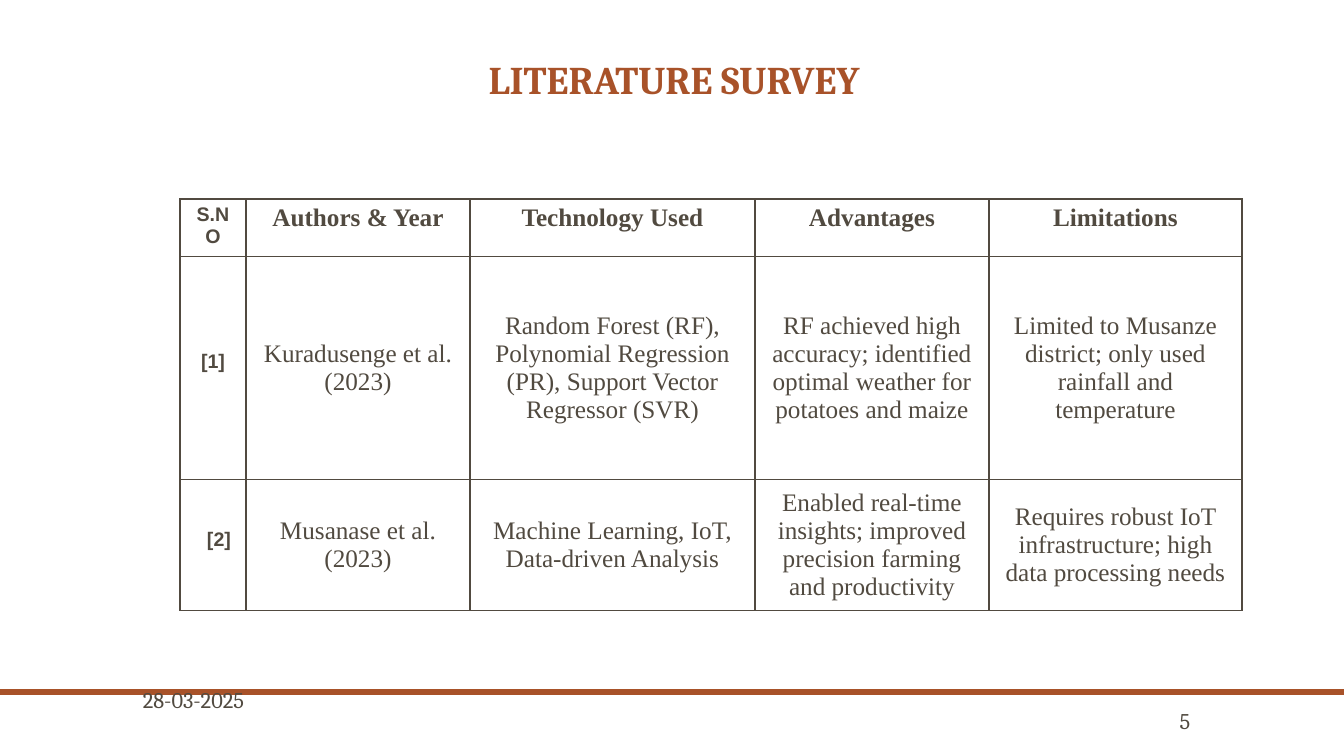
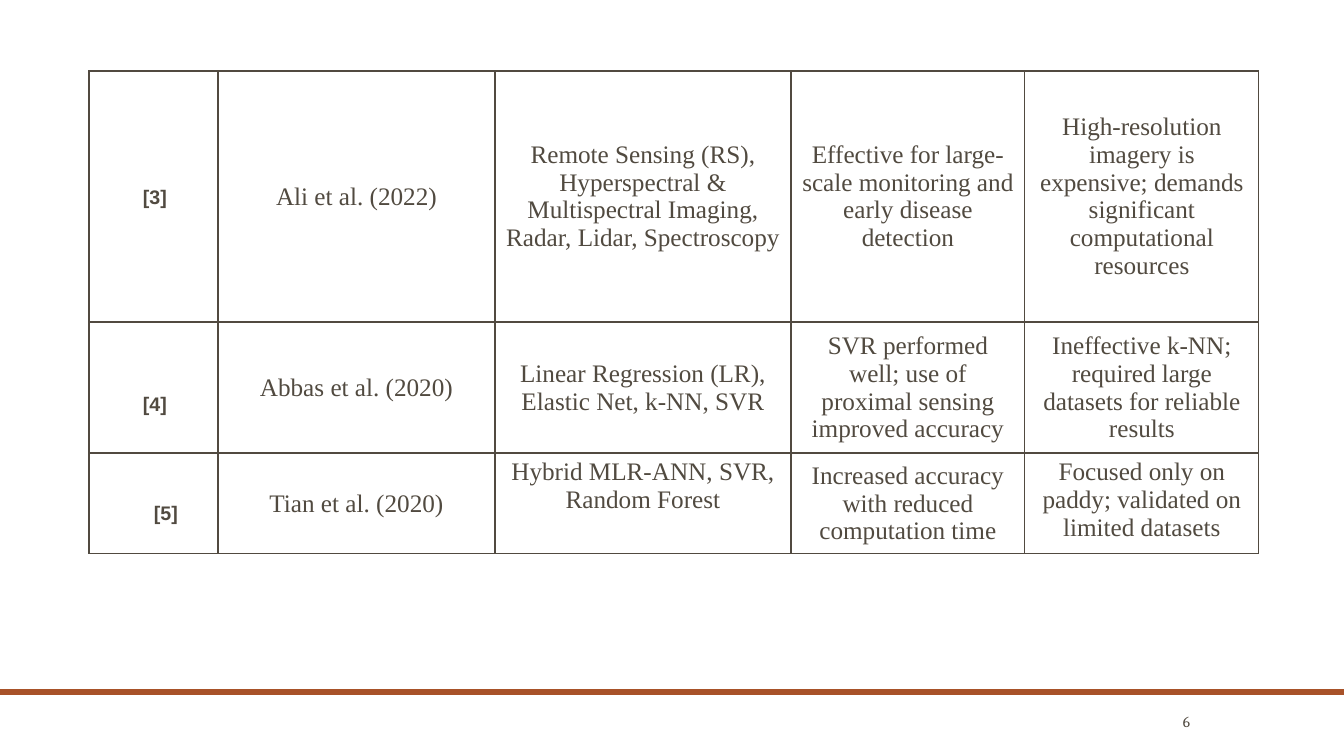
from dataclasses import dataclass
from itertools import product

from lxml import etree
from pptx import Presentation
from pptx.dml.color import RGBColor
from pptx.enum.shapes import MSO_SHAPE
from pptx.enum.text import MSO_ANCHOR, PP_ALIGN
from pptx.oxml.ns import qn
from pptx.util import Emu, Pt

SLIDE_W, SLIDE_H = 1344, 756
TITLE_ONLY, BLANK = 5, 6


@dataclass(frozen=True)
class Theme:
    accent: str = "A85229"
    ink: str = "514A40"
    display: str = "Cambria"
    body: str = "Times New Roman"
    label: str = "Arial"
    title_pt: int = 28
    body_pt: int = 18
    footer_pt: int = 16
    label_pt: int = 14
    small_pt: int = 11
    border_pt: int = 1


THEME = Theme()


@dataclass(frozen=True)
class Marker:
    """Reference number: its top inset, and left inset unless centred."""
    text: str
    top: int
    left: int = 0


HEADER = ["S.NO", "Authors & Year", "Technology Used", "Advantages", "Limitations"]

FIRST_ROWS = [
    [Marker("[1]", 95), "Kuradusenge et al. (2023)",
     "Random Forest (RF), Polynomial Regression (PR), Support Vector Regressor (SVR)",
     "RF achieved high accuracy; identified optimal weather for potatoes and maize",
     "Limited to Musanze district; only used rainfall and temperature"],
    [Marker("[2]", 50, 27), "Musanase et al. (2023)",
     "Machine Learning, IoT, Data-driven Analysis",
     "Enabled real-time insights; improved precision farming and productivity",
     "Requires robust IoT infrastructure; high data processing needs"],
]

NEXT_ROWS = [
    [Marker("[3]", 116, 54), "Ali et al. (2022)",
     "Remote Sensing (RS), Hyperspectral & Multispectral Imaging, Radar, Lidar, Spectroscopy",
     "Effective for large-scale monitoring and early disease detection",
     "High-resolution imagery is expensive; demands significant computational resources"],
    [Marker("[4]", 72, 54), "Abbas et al. (2020)",
     "Linear Regression (LR), Elastic Net, k-NN, SVR",
     "SVR performed well; use of proximal sensing improved accuracy",
     "Ineffective k-NN; required large datasets for reliable results"],
    [Marker("[5]", 50, 65), "Tian et al. (2020)",
     "Hybrid MLR-ANN, SVR, Random Forest",
     "Increased accuracy with reduced computation time",
     "Focused only on paddy; validated on limited datasets"],
]


def px(n):
    return Emu(round(n * 914400 / 100.8))


def rgb(value):
    return RGBColor.from_string(value)


# Text
def write(tf, text, font, size, color=THEME.ink, bold=False, align=PP_ALIGN.CENTER):
    tf.text = text
    tf.word_wrap = True
    p = tf.paragraphs[0]
    p.alignment = align
    f = p.runs[0].font
    f.name, f.size, f.bold = font, Pt(size), bold
    f.color.rgb = rgb(color)
    return p


def add_text(s, text, box, size, align, anchor):
    tf = s.shapes.add_textbox(*map(px, box)).text_frame
    tf.vertical_anchor = anchor
    return write(tf, text, THEME.display, size, align=align)


# Elements that the slides share
def add_slide(prs, layout, number, number_pt):
    s = prs.slides.add_slide(prs.slide_layouts[layout])
    band = s.shapes.add_shape(MSO_SHAPE.RECTANGLE, px(0), px(689), px(SLIDE_W), px(6))
    band.shadow.inherit = False
    band.fill.solid()
    band.fill.fore_color.rgb = rgb(THEME.accent)
    band.line.fill.background()
    add_text(s, str(number), (1124, 708, 76, 26), number_pt,
             PP_ALIGN.RIGHT, MSO_ANCHOR.MIDDLE)
    return s


def set_title(s, text):
    title = s.shapes.title
    title.left, title.top, title.width, title.height = map(px, (151, 34, 1046, 74))
    tf = title.text_frame
    tf.vertical_anchor = MSO_ANCHOR.BOTTOM
    p = write(tf, text, THEME.display, THEME.title_pt, THEME.accent, bold=True)
    p.line_spacing = 0.9


# Tables
def set_borders(cell):
    tc_pr = cell._tc.get_or_add_tcPr()
    for side in ("lnL", "lnR", "lnT", "lnB"):
        ln = etree.SubElement(tc_pr, qn(f"a:{side}"), w=str(Pt(THEME.border_pt)))
        fill = etree.SubElement(ln, qn("a:solidFill"))
        etree.SubElement(fill, qn("a:srgbClr"), val=THEME.ink)


def fill_marker(cell, marker):
    cell.vertical_anchor = MSO_ANCHOR.TOP
    cell.margin_top = px(marker.top)
    if marker.left:
        cell.margin_left = px(marker.left)
    align = PP_ALIGN.LEFT if marker.left else PP_ALIGN.CENTER
    write(cell.text_frame, marker.text, THEME.label, THEME.label_pt,
          bold=True, align=align)


def add_survey(s, left, top, widths, heights, rows, header=False, top_cells=()):
    """Draw a bordered table; top_cells lists the cells with text at the top."""
    frame = s.shapes.add_table(len(heights), len(widths), px(left), px(top),
                               px(sum(widths)), px(sum(heights)))
    table = frame.table
    table.first_row = header
    table.horz_banding = False
    for column, width in zip(table.columns, widths):
        column.width = px(width)
    for row, height in zip(table.rows, heights):
        row.height = px(height)
    for r, c in product(range(len(heights)), range(len(widths))):
        cell, content = table.cell(r, c), rows[r][c]
        set_borders(cell)
        cell.fill.background()
        if isinstance(content, Marker):
            fill_marker(cell, content)
            continue
        is_head = header and r == 0
        at_top = is_head or (r, c) in top_cells
        cell.vertical_anchor = MSO_ANCHOR.TOP if at_top else MSO_ANCHOR.MIDDLE
        font, size = ((THEME.label, THEME.label_pt) if c == 0
                      else (THEME.body, THEME.body_pt))
        write(cell.text_frame, content, font, size, bold=is_head)


def main():
    prs = Presentation()
    prs.slide_width, prs.slide_height = px(SLIDE_W), px(SLIDE_H)

    # Survey, first part
    s = add_slide(prs, TITLE_ONLY, 5, THEME.footer_pt)
    set_title(s, "LITERATURE SURVEY")
    date = add_text(s, "28-03-2025", (101, 684, 185, 72), THEME.footer_pt,
                    PP_ALIGN.CENTER, MSO_ANCHOR.TOP)
    date.line_spacing = 0.9
    add_survey(s, 180, 199, [66, 224, 285, 234, 253], [54, 223, 122],
               [HEADER] + FIRST_ROWS, header=True)

    # Survey, second part
    s = add_slide(prs, BLANK, 6, THEME.small_pt)
    add_survey(s, 89, 71, [129, 277, 296, 234, 234], [251, 122, 94],
               NEXT_ROWS, top_cells={(2, 2), (2, 4)})

    prs.save("out.pptx")


if __name__ == "__main__":
    main()
